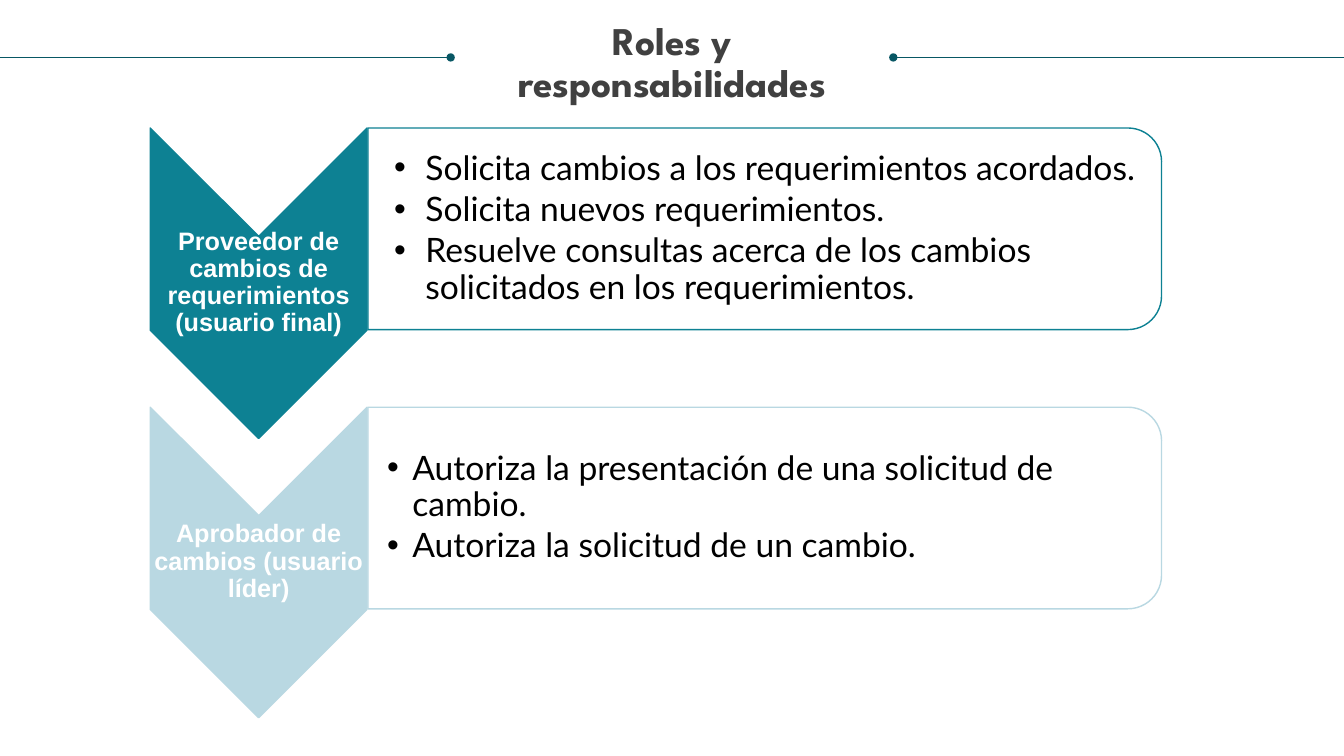
"""Builds the slide on roles and responsibilities."""
from lxml import etree
from pptx import Presentation
from pptx.dml.color import RGBColor
from pptx.enum.shapes import MSO_CONNECTOR, MSO_SHAPE
from pptx.enum.text import MSO_ANCHOR, PP_ALIGN
from pptx.oxml.ns import qn
from pptx.util import Inches, Pt

COLORS = {"rule": "085764", "title": "404040", "provider": "0D8193",
          "approver": "B9D8E2", "white": "FFFFFF", "black": "000000"}
TITLE = ["Roles y", "responsabilidades"]
ROLES = [
    {"name": "Proveedor de cambios de requerimientos (usuario final)",
     "color": "provider", "inset": 0.26, "indent": 0.31,
     "duties": ["Solicita cambios a los requerimientos acordados.",
                "Solicita nuevos requerimientos.",
                "Resuelve consultas acerca de los cambios solicitados en los requerimientos."]},
    {"name": "Aprobador de cambios (usuario líder)",
     "color": "approver", "inset": 0.19, "indent": 0.25,
     "duties": ["Autoriza la presentación de una solicitud de cambio.",
                "Autoriza la solicitud de un cambio."]},
]
SLIDE_W, SLIDE_H = 13.33, 7.5
RULE_Y = 0.57
RULES = [(4.47, 0), (8.86, SLIDE_W)]
ROW_TOP, ROW_PITCH = 1.27, 2.77
CHEVRON_X, CHEVRON_W, CHEVRON_H = 1.49, 2.15, 3.08
CARD_X, CARD_W, CARD_H = 3.65, 7.87, 2
LABEL_H, DUTIES_W, DUTIES_H = 0.92, 7.77, 1.81


def rgb(name):
    return RGBColor.from_string(COLORS[name])


def write(frame, lines, font, size, color, bold=False, align=PP_ALIGN.LEFT, after=0):
    frame.word_wrap = True
    frame.text = "\n".join(lines)
    for paragraph in frame.paragraphs:
        paragraph.alignment = align
        paragraph.line_spacing = 0.9
        paragraph.space_before, paragraph.space_after = Pt(0), Pt(after)
        for run in paragraph.runs:
            run.font.name, run.font.size, run.font.bold = font, Pt(size), bold
            run.font.color.rgb = rgb(color)


def set_margins(frame, left, other):
    frame.margin_left = Inches(left)
    frame.margin_top = frame.margin_right = frame.margin_bottom = Inches(other)


def add_bullets(frame, indent):
    for paragraph in frame.paragraphs:
        properties = paragraph._p.get_or_add_pPr()
        properties.set("marL", str(Inches(indent)))
        properties.set("indent", str(-Inches(indent)))
        etree.SubElement(properties, qn("a:buFont")).set("typeface", "Arial")
        etree.SubElement(properties, qn("a:buChar")).set("char", "•")


def add_rule(shapes, inner_x, edge_x):
    rule = shapes.add_connector(MSO_CONNECTOR.STRAIGHT, Inches(inner_x), Inches(RULE_Y),
                                Inches(edge_x), Inches(RULE_Y))
    rule.line.color.rgb = rgb("rule")
    rule.line.width = Pt(0.5)
    etree.SubElement(rule.line._get_or_add_ln(), qn("a:headEnd")).set("type", "oval")
    etree.SubElement(rule._element.spPr, qn("a:effectLst"))


def add_turned(shapes, kind, left, top, width, height, fill, line):
    """Place a shape turned by 90 degrees so that it covers the given box."""
    shift = (width - height) / 2
    shape = shapes.add_shape(kind, Inches(left + shift), Inches(top - shift),
                             Inches(height), Inches(width))
    shape.rotation = 90
    shape.shadow.inherit = False
    shape.fill.solid()
    shape.fill.fore_color.rgb = rgb(fill)
    shape.line.color.rgb = rgb(line)
    shape.line.width = Pt(1)


def add_text(shapes, left, top, width, height):
    frame = shapes.add_textbox(Inches(left), Inches(top), Inches(width), Inches(height)).text_frame
    frame.vertical_anchor = MSO_ANCHOR.MIDDLE
    return frame


def add_role(shapes, role, top):
    add_turned(shapes, MSO_SHAPE.CHEVRON, CHEVRON_X, top, CHEVRON_W, CHEVRON_H,
               role["color"], role["color"])
    label = add_text(shapes, CHEVRON_X, top + CHEVRON_W / 2, CHEVRON_W, LABEL_H)
    set_margins(label, 0.01, 0.01)
    write(label, [role["name"]], "Arial", 18, "white", True, PP_ALIGN.CENTER)

    add_turned(shapes, MSO_SHAPE.ROUND_2_SAME_RECTANGLE, CARD_X, top, CARD_W, CARD_H,
               "white", role["color"])
    duties = add_text(shapes, CARD_X, top + (CARD_H - DUTIES_H) / 2, DUTIES_W, DUTIES_H)
    set_margins(duties, role["inset"], 0.02)
    write(duties, role["duties"], "Lato", 24, "black", after=3.6)
    add_bullets(duties, role["indent"])


def main():
    presentation = Presentation()
    presentation.slide_width, presentation.slide_height = Inches(SLIDE_W), Inches(SLIDE_H)
    slide = presentation.slides.add_slide(presentation.slide_layouts[5])
    title = slide.shapes.title
    title.left, title.top = Inches(0.25), Inches(0.21)
    title.width, title.height = Inches(12.83), Inches(1.7)
    title.text_frame.vertical_anchor = MSO_ANCHOR.TOP
    set_margins(title.text_frame, 0, 0)
    write(title.text_frame, TITLE, "League Spartan", 28, "title", True, PP_ALIGN.CENTER)
    for inner_x, edge_x in RULES:
        add_rule(slide.shapes, inner_x, edge_x)
    for row, role in enumerate(ROLES):
        add_role(slide.shapes, role, ROW_TOP + row * ROW_PITCH)
    presentation.save("out.pptx")


if __name__ == "__main__":
    main()
